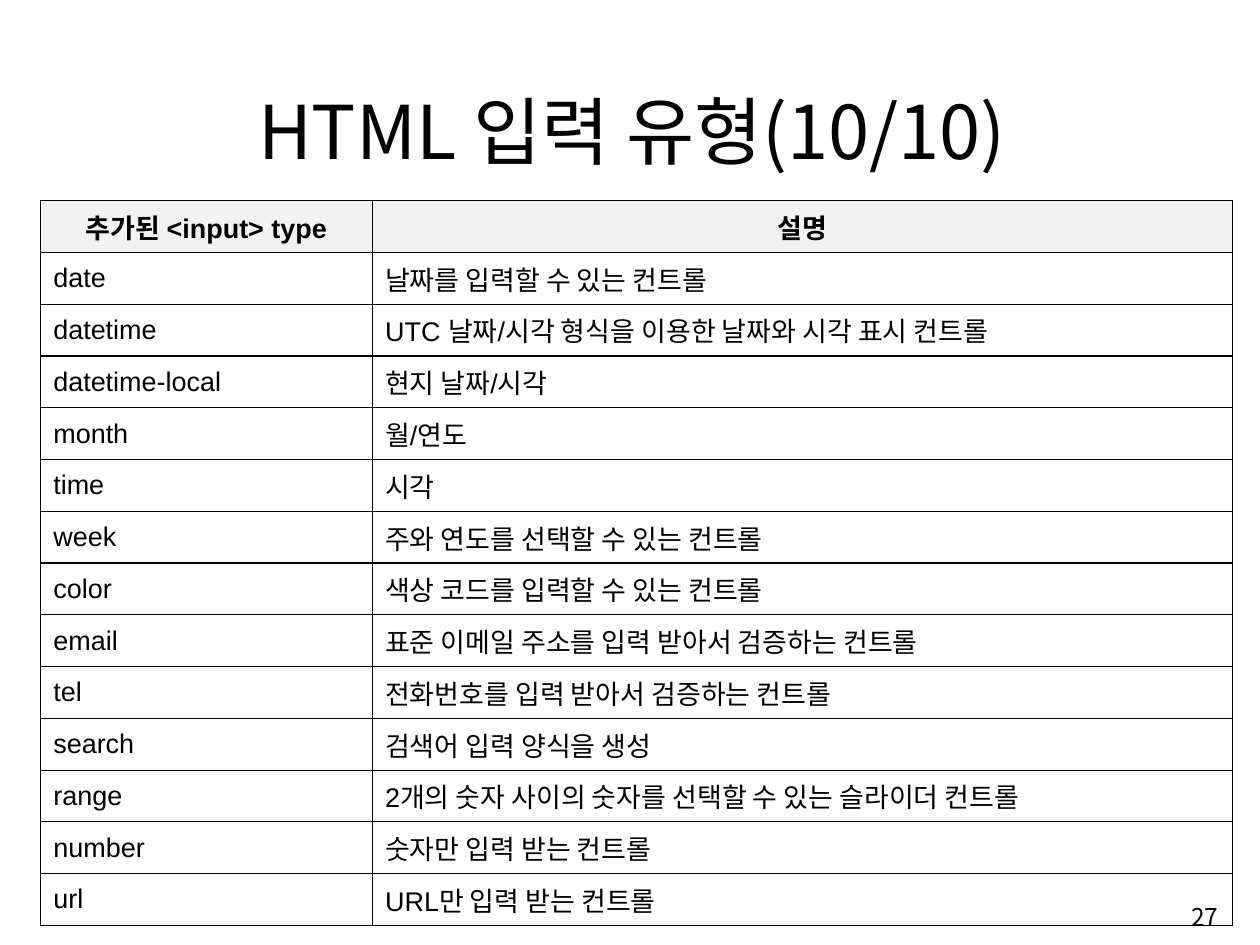
import pptx
import pptx.util
import pptx.oxml
import pptx.oxml.ns
import pptx.dml.color
import pptx.enum.text

Pt = pptx.util.Pt
ALIGN = pptx.enum.text.PP_ALIGN
ANCHOR = pptx.enum.text.MSO_ANCHOR

TITLE = "HTML 입력 유형(10/10)"
PAGE = "27"
ROWS = [
    ("추가된 <input> type", "설명"),
    ("date", "날짜를 입력할 수 있는 컨트롤"),
    ("datetime", "UTC 날짜/시각 형식을 이용한 날짜와 시각 표시 컨트롤"),
    ("datetime-local", "현지 날짜/시각"),
    ("month", "월/연도"),
    ("time", "시각"),
    ("week", "주와 연도를 선택할 수 있는 컨트롤"),
    ("color", "색상 코드를 입력할 수 있는 컨트롤"),
    ("email", "표준 이메일 주소를 입력 받아서 검증하는 컨트롤"),
    ("tel", "전화번호를 입력 받아서 검증하는 컨트롤"),
    ("search", "검색어 입력 양식을 생성"),
    ("range", "2개의 숫자 사이의 숫자를 선택할 수 있는 슬라이더 컨트롤"),
    ("number", "숫자만 입력 받는 컨트롤"),
    ("url", "URL만 입력 받는 컨트롤"),
]
COLORS = {"text": "000000", "line": "000000", "head": "F2F2F2"}
LATIN, KOREAN = "Arial", "Noto Sans CJK KR"
WIDTHS = (246.3, 638.7)
ROW_H = 35.4
PAD_X, PAD_Y = 9.4, 4.7


def rgb(name):
    return pptx.dml.color.RGBColor.from_string(COLORS[name])


def style(para, size, font, align, bold=False):
    para.alignment = align
    for run in para.runs:
        run.font.size = Pt(size)
        run.font.name = font
        run.font.bold = bold
        run.font.color.rgb = rgb("text")
        east = pptx.oxml.parse_xml(
            f'<a:ea {pptx.oxml.ns.nsdecls("a")} typeface="{KOREAN}"/>')
        run.font._element.append(east)


def pad(part):
    """Set the inner margins of a cell or text frame."""
    part.margin_left = part.margin_right = Pt(PAD_X)
    part.margin_top = part.margin_bottom = Pt(PAD_Y)


def border(cell):
    props = cell._tc.get_or_add_tcPr()
    for side in ("lnL", "lnR", "lnT", "lnB"):
        props.append(pptx.oxml.parse_xml(
            f'<a:{side} {pptx.oxml.ns.nsdecls("a")} w="{Pt(1)}"><a:solidFill>'
            f'<a:srgbClr val="{COLORS["line"]}"/></a:solidFill></a:{side}>'))


def add_text(slide, text, box, size, align, anchor):
    frame = slide.shapes.add_textbox(*map(Pt, box)).text_frame
    frame.word_wrap = True
    frame.vertical_anchor = anchor
    frame.text = text
    style(frame.paragraphs[0], size, KOREAN, align)
    return frame


def add_types(slide):
    """Add the table of input types."""
    table = slide.shapes.add_table(
        len(ROWS), len(WIDTHS), Pt(30.2), Pt(149),
        Pt(sum(WIDTHS)), Pt(ROW_H * len(ROWS))).table
    table.first_row = table.horz_banding = False
    for col, width in zip(table.columns, WIDTHS):
        col.width = Pt(width)
    for r, texts in enumerate(ROWS):
        head = r == 0
        table.rows[r].height = Pt(ROW_H)
        for c, text in enumerate(texts):
            cell = table.cell(r, c)
            cell.text = text
            cell.vertical_anchor = ANCHOR.MIDDLE
            pad(cell)
            border(cell)
            if head:
                cell.fill.solid()
                cell.fill.fore_color.rgb = rgb("head")
            else:
                cell.fill.background()
            style(cell.text_frame.paragraphs[0], 20, LATIN,
                  ALIGN.CENTER if head else ALIGN.LEFT, head)


def main():
    deck = pptx.Presentation()
    deck.slide_width, deck.slide_height = Pt(935.3), Pt(701.3)
    slide = deck.slides.add_slide(deck.slide_layouts[6])
    add_types(slide)
    add_text(slide, PAGE, (718.6, 658.8, 193, 43.2), 18.2,
             ALIGN.RIGHT, ANCHOR.MIDDLE)
    pad(add_text(slide, TITLE, (87.1, 56.2, 763.9, 77.8), 55,
                 ALIGN.CENTER, ANCHOR.BOTTOM))
    deck.save("out.pptx")


if __name__ == "__main__":
    main()
